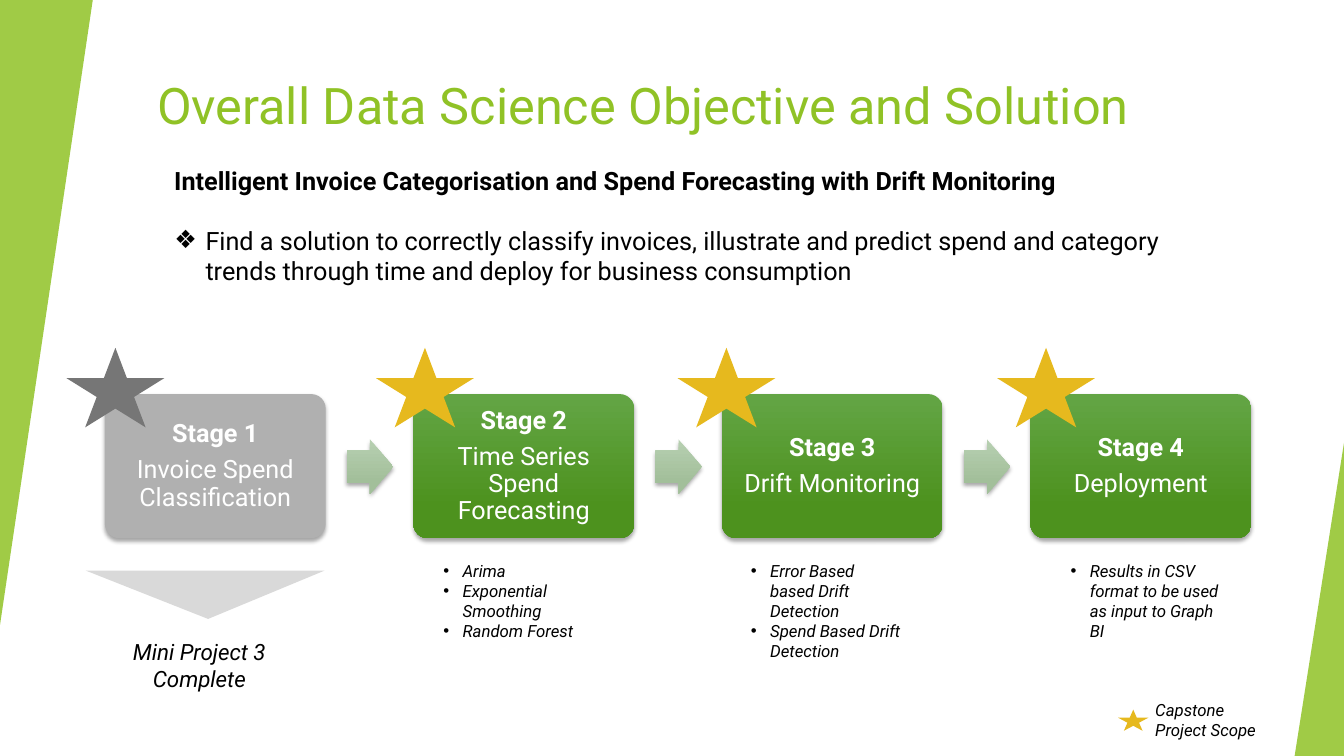
from lxml import etree
from pptx import Presentation
from pptx.dml.color import RGBColor
from pptx.enum.shapes import MSO_SHAPE as Shape
from pptx.enum.text import MSO_ANCHOR as Anchor, PP_ALIGN as Align
from pptx.oxml import parse_xml
from pptx.oxml.ns import nsdecls, qn
from pptx.util import Inches, Pt

# Content
TITLE = "Overall Data Science Objective and Solution"
HEADING = "Intelligent Invoice Categorisation and Spend Forecasting with Drift Monitoring"
OBJECTIVE = ("Find a solution to correctly classify invoices, illustrate and predict spend "
             "and category trends through time and deploy for business consumption")
STAGES = [
    ("Stage 1", "Invoice Spend Classification"),
    ("Stage 2", "Time Series Spend Forecasting"),
    ("Stage 3", "Drift Monitoring"),
    ("Stage 4", "Deployment"),
]
# Left, height and bullets of each list of details
DETAILS = [
    (4.3, 0.91, ["Arima", "Exponential Smoothing", "Random Forest"]),
    (7.35, 1.31, ["Error Based based Drift Detection", "Spend Based Drift Detection"]),
    (10.52, 0.91, ["Results in CSV format to be used as input to Graph BI"]),
]
STAR_LEFTS = [0.66, 3.73, 6.72, 9.89]

# Style
FONT = "Roboto"
BLACK = RGBColor(0x00, 0x00, 0x00)
WHITE = RGBColor(0xFF, 0xFF, 0xFF)
LIME = RGBColor(0x90, 0xC2, 0x26)
GOLD = RGBColor(0xE6, 0xB9, 0x1E)
DARK_GREY = RGBColor(0x76, 0x76, 0x76)
MID_GREY = RGBColor(0xB0, 0xB0, 0xB0)
PALE_GREY = RGBColor(0xD9, 0xD9, 0xD9)
STAGE_GREENS = (RGBColor(0x63, 0xA5, 0x45), RGBColor(0x4D, 0x92, 0x1E))
ARROW_GREENS = (RGBColor(0xB7, 0xCF, 0xB1), RGBColor(0xA2, 0xBF, 0x9A))

# Stage row
STAGE_LEFT, STAGE_TOP, STAGE_WIDTH, STAGE_HEIGHT = 1.04, 3.91, 2.19, 1.43
STAGE_PITCH = 3.06
TEXT_INSET = 0.04
ARROW_OFFSET = 2.4

presentation = Presentation()
presentation.slide_width = Inches(13.33)
presentation.slide_height = Inches(7.5)
slide = presentation.slides.add_slide(presentation.slide_layouts[6])


def add_shape(kind, left, top, width, height, fill, adjustments=(), rotation=0):
    """Add a shape without outline; a pair of colours gives a downward gradient."""
    shape = slide.shapes.add_shape(
        kind, Inches(left), Inches(top), Inches(width), Inches(height))
    shape.shadow.inherit = False
    shape.line.fill.background()
    shape.rotation = rotation
    for index, value in enumerate(adjustments):
        shape.adjustments[index] = value
    if isinstance(fill, RGBColor):
        shape.fill.solid()
        shape.fill.fore_color.rgb = fill
    else:
        shape.fill.gradient()
        shape.fill.gradient_angle = 270
        for stop, color, position in zip(shape.fill.gradient_stops, fill, (0, 0.78)):
            stop.color.rgb = color
            stop.position = position
    return shape


def add_shadow(shape):
    effects = shape._element.spPr.find(qn("a:effectLst"))
    effects.append(parse_xml(
        f'<a:outerShdw {nsdecls("a")} blurRad="{Pt(3)}" dist="{Pt(2)}" dir="5400000" '
        'rotWithShape="0"><a:srgbClr val="000000"><a:alpha val="35000"/></a:srgbClr>'
        '</a:outerShdw>'))


def set_opacity(shape, percent):
    color = shape._element.spPr.find(qn("a:solidFill"))[0]
    etree.SubElement(color, qn("a:alpha")).set("val", str(percent * 1000))


def add_text_box(left, top, width, height, wrap=True):
    box = slide.shapes.add_textbox(
        Inches(left), Inches(top), Inches(width), Inches(height))
    box.text_frame.word_wrap = wrap
    return box.text_frame


def add_line(frame, text, size, color=BLACK, bold=False, italic=False, align=Align.LEFT):
    """Write one paragraph, using the first one of the frame while it is empty."""
    paragraph = frame.paragraphs[0]
    if paragraph.runs:
        paragraph = frame.add_paragraph()
    paragraph.alignment = align
    run = paragraph.add_run()
    run.text = text
    font = run.font
    font.name, font.size, font.bold, font.italic = FONT, Pt(size), bold, italic
    font.color.rgb = color
    return paragraph


def set_indent(paragraph, margin, first_line=0, bullet=None):
    properties = paragraph._p.get_or_add_pPr()
    properties.set("marL", str(Inches(margin)))
    properties.set("indent", str(Inches(first_line)))
    if bullet:
        etree.SubElement(properties, qn("a:buFont")).set("typeface", "Arial")
        etree.SubElement(properties, qn("a:buChar")).set("char", bullet)


# Title
title = add_text_box(1.46, 0.67, 10.24, 0.84)
title.margin_top = Inches(0.07)
add_line(title, TITLE, 36, LIME)

# Side wedges
for left, top, width, height, rotation in [(0, 0, 0.92, 6.2, 180),
                                           (12.84, 4.39, 0.49, 3.11, 0)]:
    wedge = add_shape(Shape.ISOSCELES_TRIANGLE, left, top, width, height, LIME,
                      [1], rotation)
    set_opacity(wedge, 85)

# Stages and the arrows between them
for index, (name, task) in enumerate(STAGES):
    left = STAGE_LEFT + index * STAGE_PITCH
    add_shadow(add_shape(Shape.ROUNDED_RECTANGLE, left, STAGE_TOP, STAGE_WIDTH,
                         STAGE_HEIGHT, STAGE_GREENS if index else MID_GREY, [0.1]))
    frame = add_text_box(left + TEXT_INSET, STAGE_TOP + TEXT_INSET,
                         STAGE_WIDTH - 2 * TEXT_INSET, STAGE_HEIGHT - 2 * TEXT_INSET)
    frame.vertical_anchor = Anchor.MIDDLE
    frame.margin_left = frame.margin_right = Inches(0.07)
    frame.margin_top = frame.margin_bottom = Inches(0.07)
    for text, bold in [(name, True), (task, False)]:
        paragraph = add_line(frame, text, 18, WHITE, bold, align=Align.CENTER)
        paragraph.line_spacing = 0.9
        paragraph.space_after = Pt(6.3)
    if index < len(STAGES) - 1:
        add_shadow(add_shape(Shape.RIGHT_ARROW, left + ARROW_OFFSET, 4.36, 0.46, 0.54,
                             ARROW_GREENS, [0.6, 0.5]))

# Objective
objective = add_text_box(1.25, 1.59, 10.84, 1.31)
set_indent(add_line(objective, HEADING, 18, bold=True), 0.38)
paragraph = add_line(objective, OBJECTIVE, 18)
paragraph.space_before = Pt(21)
set_indent(paragraph, 0.69, -0.31, "❖")

# Completed project
add_shape(Shape.ISOSCELES_TRIANGLE, 0.85, 5.66, 2.37, 0.48, PALE_GREY, [0.488], 180)
completed = add_text_box(1.22, 6.28, 1.62, 0.64, wrap=False)
add_line(completed, "Mini Project 3", 16, italic=True)
add_line(completed, "Complete", 16, italic=True, align=Align.CENTER)

# Stars
for index, left in enumerate(STAR_LEFTS):
    add_shape(Shape.STAR_5_POINT, left, 3.45, 0.97, 0.79, GOLD if index else DARK_GREY)

# Details under the stages
for left, height, bullets in DETAILS:
    frame = add_text_box(left, 5.51, 1.68, height)
    for text in bullets:
        set_indent(add_line(frame, text, 12, italic=True), 0.19, -0.19, "•")

# Legend
add_shape(Shape.STAR_5_POINT, 11.09, 7.04, 0.3, 0.21, GOLD)
legend = add_text_box(11.36, 6.89, 1.3, 0.5)
add_line(legend, "Capstone Project Scope", 12, italic=True)

presentation.save("out.pptx")
